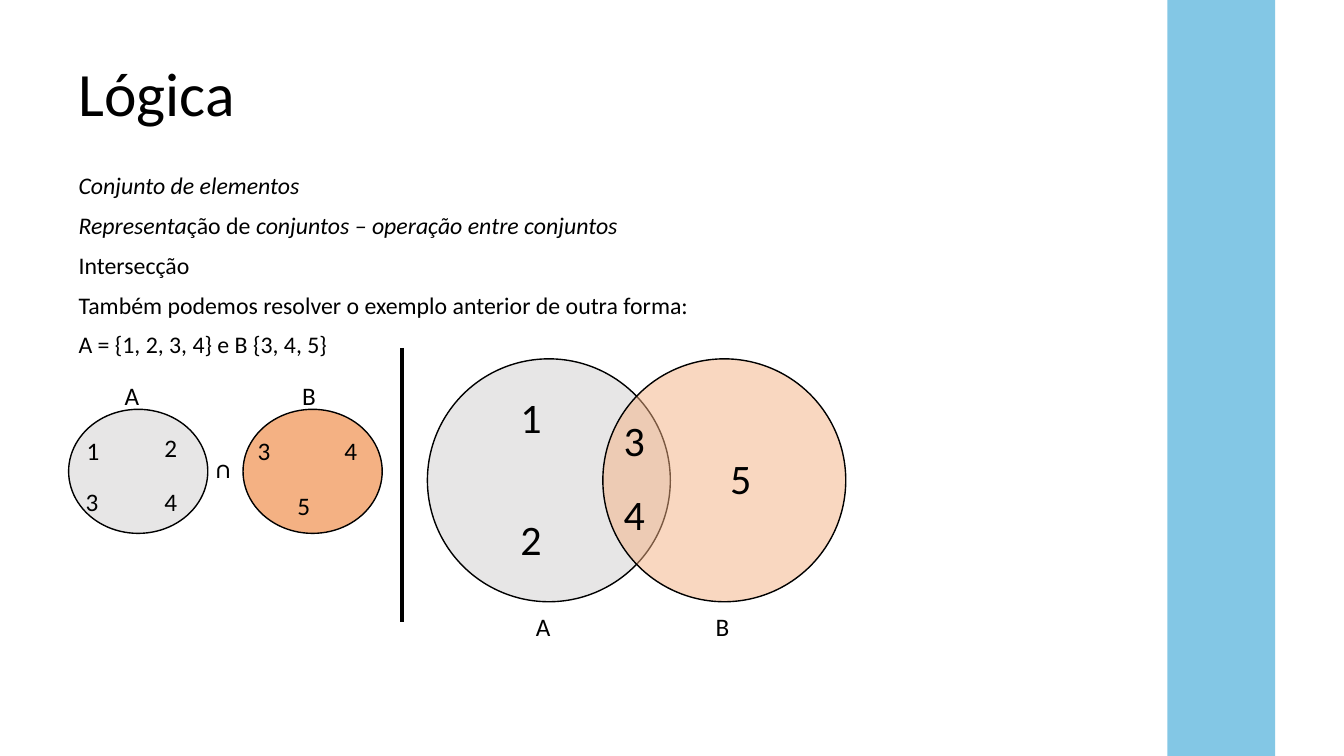
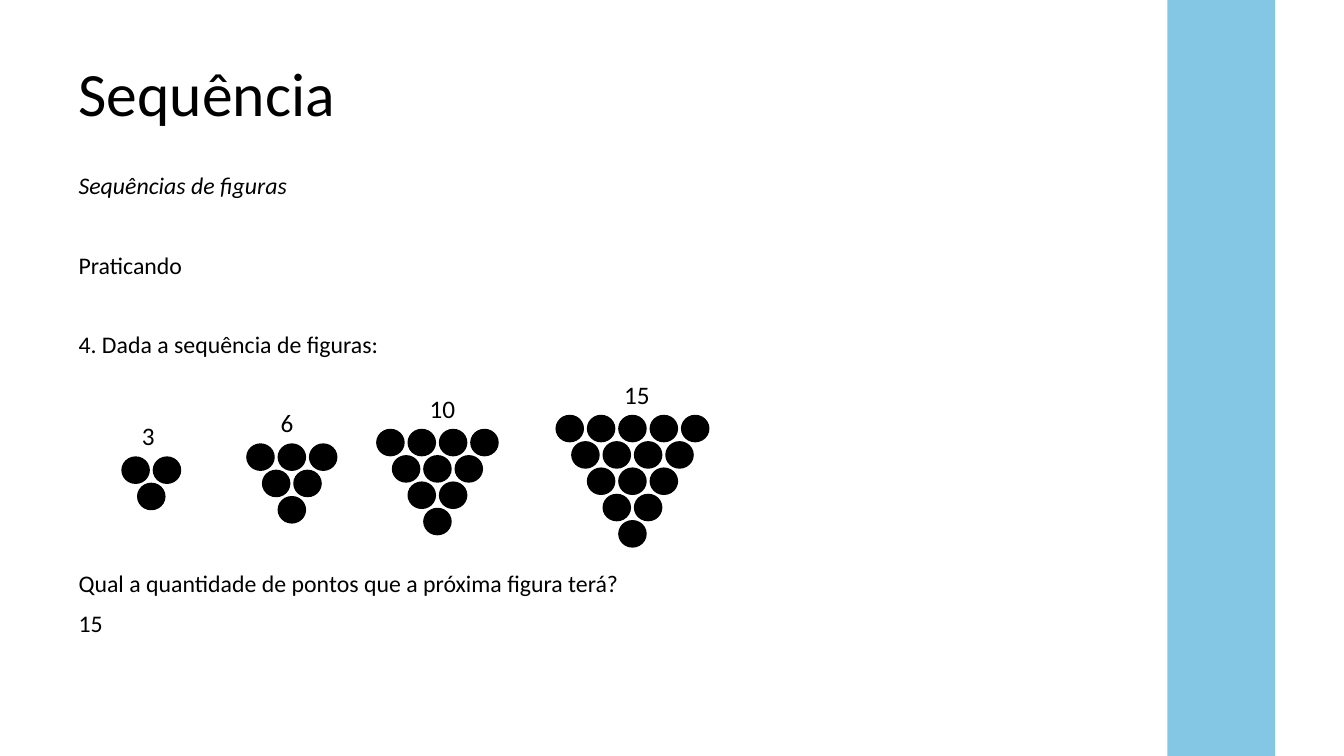
from pptx import Presentation
from pptx.dml.color import RGBColor
from pptx.enum.shapes import MSO_CONNECTOR, MSO_SHAPE
from pptx.enum.text import MSO_ANCHOR, PP_ALIGN
from pptx.oxml.ns import qn
from pptx.util import Pt
from lxml import etree

RECT, OVAL = MSO_SHAPE.RECTANGLE, MSO_SHAPE.OVAL
STRAIGHT = MSO_CONNECTOR.STRAIGHT
MIDDLE, TOP = MSO_ANCHOR.MIDDLE, MSO_ANCHOR.TOP
LEFT, CENTER, JUSTIFY = PP_ALIGN.LEFT, PP_ALIGN.CENTER, PP_ALIGN.JUSTIFY

FONT = "Calibri"
COLORS = {
    "ink": "000000",
    "band": "83C7E5",
    "set_a": "E7E6E6",
    "set_b": "F4B183",
    "venn_a": "D0CECE",
}
SLIDE_W, SLIDE_H = 960, 540
MARGIN, TEXT_W = 49, 759.6
LINE_H, PARA_GAP = 18.4, 10
LABEL_W = 50


def rgb(name):
    return RGBColor.from_string(COLORS[name])


def add_text(s, box, paragraphs, size, align=LEFT, anchor=TOP, spacing=None):
    """Paragraphs are (blank lines above, [(text, italic), ...])."""
    tf = s.shapes.add_textbox(*map(Pt, box)).text_frame
    tf.word_wrap = True
    tf.vertical_anchor = anchor
    for i, (blank_lines, runs) in enumerate(paragraphs):
        p = tf.add_paragraph() if i else tf.paragraphs[0]
        p.alignment = align
        if spacing:
            p.line_spacing = spacing
        if i:
            p.space_before = Pt(PARA_GAP + blank_lines * (LINE_H + PARA_GAP))
        for text, italic in runs:
            r = p.add_run()
            r.text = text
            r.font.name = FONT
            r.font.size = Pt(size)
            r.font.italic = italic
            r.font.color.rgb = rgb("ink")
    return tf


def add_label(s, center_x, top, text, size=18, bold=False):
    box = (center_x - LABEL_W / 2, top, LABEL_W, size * 1.2 + 7.2)
    tf = add_text(s, box, [(0, [(text, False)])], size, CENTER)
    tf.paragraphs[0].runs[0].font.bold = bold


def add_labels(s, x, y, labels, size=18):
    for text, dx, dy in labels:
        add_label(s, x + dx, y + dy, text, size)


def add_filled(s, kind, box, color, outlined=True, alpha=None):
    shape = s.shapes.add_shape(kind, *map(Pt, box))
    shape.shadow.inherit = False
    shape.fill.solid()
    shape.fill.fore_color.rgb = rgb(color)
    if alpha:
        srgb = shape.fill._xPr.find(qn("a:solidFill"))[0]
        etree.SubElement(srgb, qn("a:alpha")).set("val", str(alpha * 1000))
    if outlined:
        shape.line.color.rgb = rgb("ink")
        shape.line.width = Pt(1)
    else:
        shape.line.fill.background()


def add_divider(s, x, top, bottom):
    line = s.shapes.add_connector(STRAIGHT, Pt(x), Pt(top), Pt(x), Pt(bottom))
    line.line.color.rgb = rgb("ink")
    line.line.width = Pt(3)
    etree.SubElement(line._element.spPr, qn("a:effectLst"))


def add_content_slide(prs, title, paragraphs):
    s = prs.slides.add_slide(prs.slide_layouts[6])
    add_filled(s, RECT, (833.8, 0, 77, SLIDE_H), "band", outlined=False)
    add_text(s, (MARGIN, 16.6, TEXT_W, 104.4), [(0, [(title, False)])],
             44, anchor=MIDDLE, spacing=0.9)
    add_text(s, (MARGIN, 121, TEXT_W, 342.7), paragraphs, 17, JUSTIFY,
             spacing=0.9)
    return s


def add_separate_sets(s, x, y):
    w, h, pitch, label_h = 99.4, 88.6, 124.6, 24.4
    for i, color in enumerate(("set_a", "set_b")):
        add_filled(s, OVAL, (x + i * pitch, y + label_h, w, h), color)
    add_labels(s, x, y, [
        ("A", 45.3, 0), ("1", 17.4, 39.6), ("2", 73, 37.4),
        ("3", 16.8, 75.6), ("4", 73, 75.6),
    ])
    add_labels(s, x + pitch, y, [
        ("B", 47.1, 0), ("3", 15, 39.6), ("4", 77, 39.6), ("5", 43.4, 78.4),
    ])
    add_label(s, x + (pitch + w) / 2 - 1.5, y + 52.5, "∩", bold=True)


def add_venn(s, x, y):
    d, shift = 173.5, 125.3
    for i, color in enumerate(("venn_a", "set_b")):
        add_filled(s, OVAL, (x + i * shift, y, d, d), color, alpha=50)
    add_labels(s, x, y, [
        ("1", 74, 20.2), ("2", 74, 106.7), ("3", 147.7, 36),
        ("4", 147.7, 89.3), ("5", 223.8, 63.7),
    ], size=30)
    add_labels(s, x, y + d, [("A", 82.7, 3.6), ("B", 210.7, 3.6)])


def add_dot_triangle(s, x, y, side, label_x):
    """Inverted triangle with its number of dots written above."""
    dot_w, dot_h, step_x, step_y = 19.4, 18.7, 22.4, 18.8
    for row in range(side):
        for col in range(side - row):
            left = x + (col + row / 2) * step_x
            add_filled(s, OVAL, (left, y + row * step_y, dot_w, dot_h), "ink")
    add_label(s, label_x, y - 29.5, str(side * (side + 1) // 2))


def add_logic_slide(prs):
    s = add_content_slide(prs, "Lógica", [
        (0, [("Conjunto de elementos", True)]),
        (0, [("Representa", True), ("ção de ", False),
             ("conjuntos – operação entre conjuntos", True)]),
        (0, [("Intersecção", False)]),
        (0, [("Também podemos resolver o exemplo anterior de outra forma:",
              False)]),
        (0, [("A = {1, 2, 3, 4} e B {3, 4, 5}", False)]),
    ])
    add_separate_sets(s, MARGIN, 268)
    add_venn(s, 305.3, 256.3)
    add_divider(s, 287.3, 248.4, 444.2)


def add_sequence_slide(prs):
    s = add_content_slide(prs, "Sequência", [
        (0, [("Sequências de figuras", True)]),
        (1, [("Praticando", False)]),
        (1, [("4. Dada a sequência de figuras:", False)]),
        (5, [("Qual a quantidade de pontos que a próxima figura terá?",
              False)]),
        (0, [("15", False)]),
    ])
    for side, x, y, label_x in (
        (2, 87.2, 326.5, 106),
        (3, 176.4, 317.2, 205),
        (4, 269.2, 306.8, 316),
        (5, 397.3, 296.8, 455),
    ):
        add_dot_triangle(s, x, y, side, label_x)


def main():
    prs = Presentation()
    prs.slide_width, prs.slide_height = Pt(SLIDE_W), Pt(SLIDE_H)
    add_logic_slide(prs)
    add_sequence_slide(prs)
    prs.save("out.pptx")


if __name__ == "__main__":
    main()
